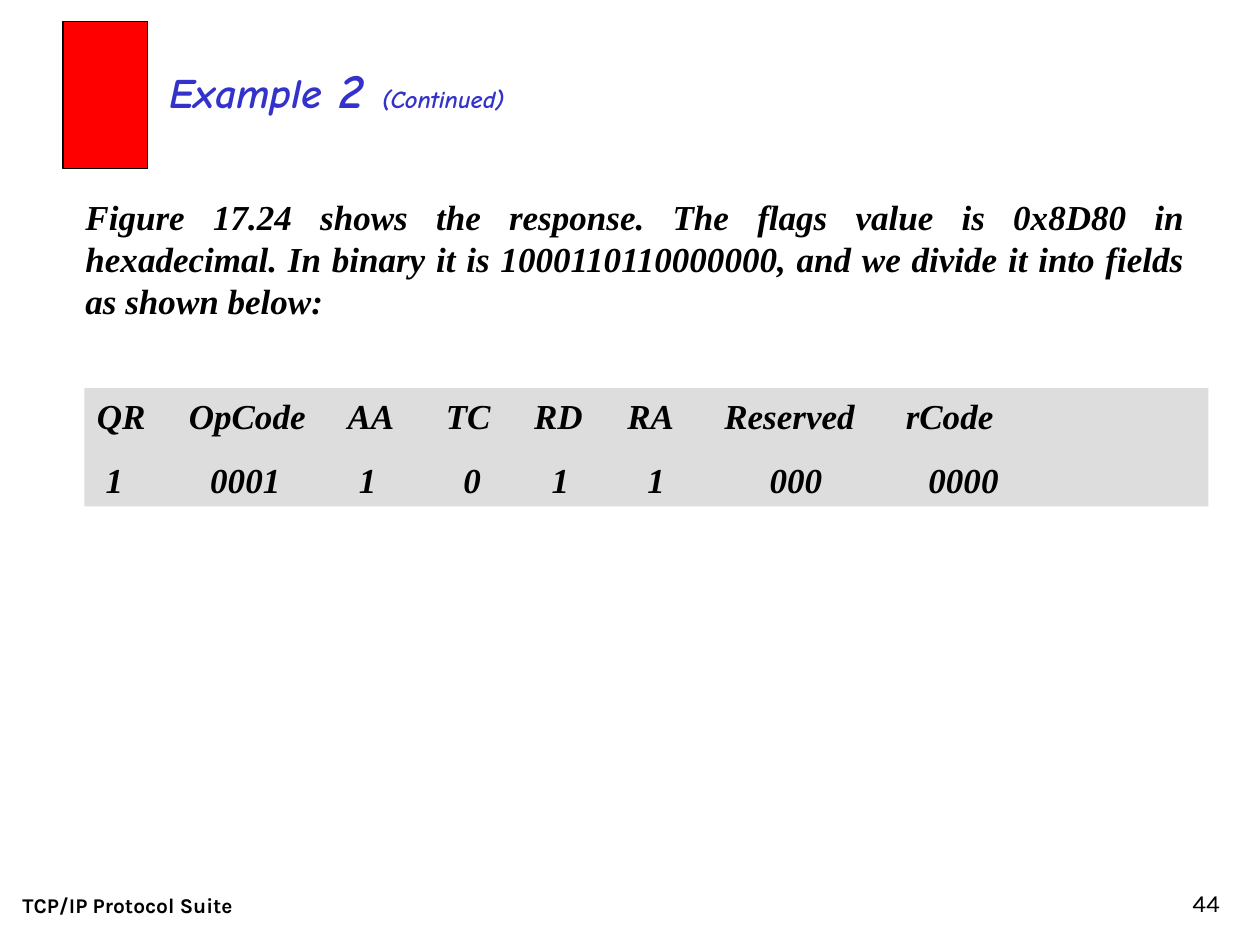
"""Builds the slide on the DNS response flags example."""
import pptx
import pptx.dml.color
import pptx.enum.shapes
import pptx.enum.text
import pptx.util
from lxml import etree

Inches = pptx.util.Inches
Pt = pptx.util.Pt
ALIGN = pptx.enum.text.PP_ALIGN
ANCHOR = pptx.enum.text.MSO_ANCHOR
FIT = pptx.enum.text.MSO_AUTO_SIZE
RECTANGLE = pptx.enum.shapes.MSO_SHAPE.RECTANGLE

THEME = {
    "ink": "000000", "title": "3333CC", "marker": "FF0000", "panel": "DDDDDD",
    "heading_font": "Comic Neue", "body_font": "Times New Roman", "footer_font": "Karla",
    "heading": 24, "number": 28, "note": 14, "body": 20, "footer": 12, "page": 14,
    "paragraph_gap": 12.5, "outline": 0.75,
}

TITLE = [("Example", "heading"), (" 2 ", "number"), ("(Continued)", "note")]
EXPLANATION = (
    "Figure 17.24 shows the response. The flags value is 0x8D80 in hexadecimal. "
    "In binary it is 1000110110000000, and we divide it into fields as shown below:"
)
FLAG_ROWS = [
    (["QR", "OpCode", "AA", "TC", "RD", "RA", "Reserved", "rCode"],
     [0, 0.73, 1.99, 2.77, 3.47, 4.21, 4.98, 6.42]),
    (["1", "0001", "1", "0", "1", "1", "000", "0000"],
     [0.07, 0.9, 2.08, 2.91, 3.61, 4.37, 5.34, 6.6]),
]
FOOTER = "TCP/IP Protocol Suite"
PAGE = "44"


def color(key):
    return pptx.dml.color.RGBColor.from_string(THEME[key])


def add_run(paragraph, text, font, size, ink="ink", bold=True, italic=True):
    run = paragraph.add_run()
    run.text = text
    run.font.name = THEME[font]
    run.font.size = Pt(THEME[size])
    run.font.bold = bold
    run.font.italic = italic
    run.font.color.rgb = color(ink)


def add_text_area(slide, box, anchor=ANCHOR.TOP, fit=FIT.SHAPE_TO_FIT_TEXT):
    frame = slide.shapes.add_textbox(*map(Inches, box)).text_frame
    frame.word_wrap = True
    frame.vertical_anchor = anchor
    frame.auto_size = fit
    return frame


def add_block(slide, box, fill):
    block = slide.shapes.add_shape(RECTANGLE, *map(Inches, box))
    block.shadow.inherit = False
    block.fill.solid()
    block.fill.fore_color.rgb = color(fill)
    return block


def justify(paragraph):
    paragraph.alignment = ALIGN.JUSTIFY
    paragraph.space_before = Pt(THEME["paragraph_gap"])


def set_tab_stops(paragraph, stops):
    properties = paragraph._p.get_or_add_pPr()
    tag = pptx.oxml.ns.qn
    tab_list = etree.SubElement(properties, tag("a:tabLst"))
    for stop in stops:
        etree.SubElement(tab_list, tag("a:tab"), pos=str(Inches(stop)), algn="l")


def add_flags(slide):
    panel = add_block(slide, (0.67, 3.08, 8.92, 0.94), "panel")
    panel.line.fill.background()
    frame = panel.text_frame
    frame.word_wrap = True
    frame.vertical_anchor = ANCHOR.TOP
    frame.auto_size = FIT.SHAPE_TO_FIT_TEXT
    for index, (fields, starts) in enumerate(FLAG_ROWS):
        row = frame.add_paragraph() if index else frame.paragraphs[0]
        justify(row)
        set_tab_stops(row, [start for start in starts if start])
        lead = "\t" if starts[0] else ""
        add_run(row, lead + "\t".join(fields), "body_font", "body")


def main():
    deck = pptx.Presentation()
    deck.slide_width, deck.slide_height = Inches(10), Inches(7.5)
    slide = deck.slides.add_slide(deck.slide_layouts[6])

    heading = add_text_area(slide, (1.25, 0.42, 5.17, 0.57)).paragraphs[0]
    for text, size in TITLE:
        add_run(heading, text, "heading_font", size, "title")

    marker = add_block(slide, (0.5, 0.17, 0.67, 1.17), "marker")
    marker.line.color.rgb = color("ink")
    marker.line.width = Pt(THEME["outline"])

    add_flags(slide)

    explanation = add_text_area(slide, (0.58, 1.5, 8.92, 1.1)).paragraphs[0]
    justify(explanation)
    add_run(explanation, EXPLANATION, "body_font", "body")

    footer = add_text_area(slide, (0.08, 6.83, 3.17, 0.5), ANCHOR.BOTTOM, FIT.NONE)
    add_run(footer.paragraphs[0], FOOTER, "footer_font", "footer", italic=False)

    page = add_text_area(slide, (7.7, 6.83, 2.08, 0.5), ANCHOR.BOTTOM, FIT.NONE).paragraphs[0]
    page.alignment = ALIGN.RIGHT
    add_run(page, PAGE, "footer_font", "page", bold=False, italic=False)

    deck.save("out.pptx")


if __name__ == "__main__":
    main()
